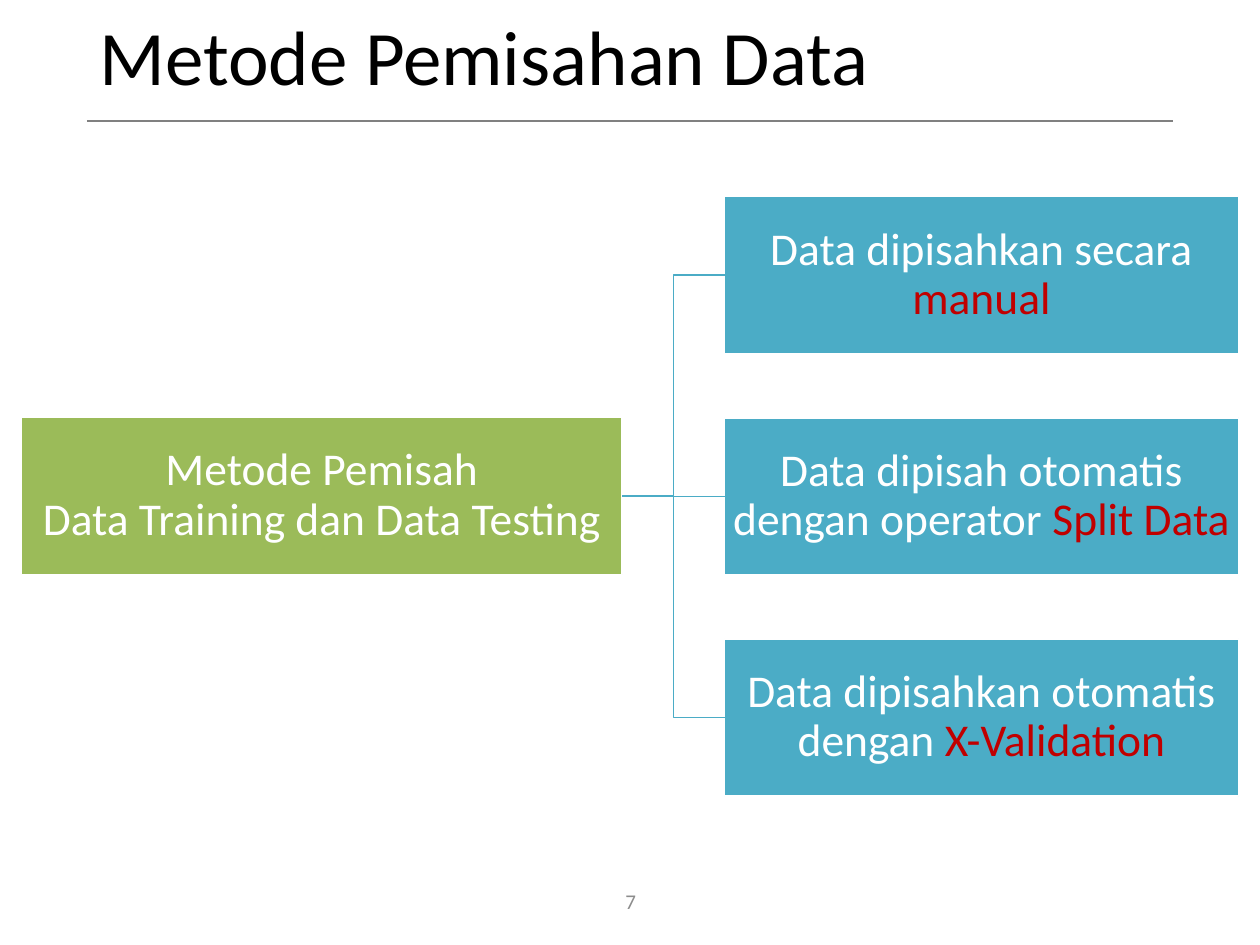
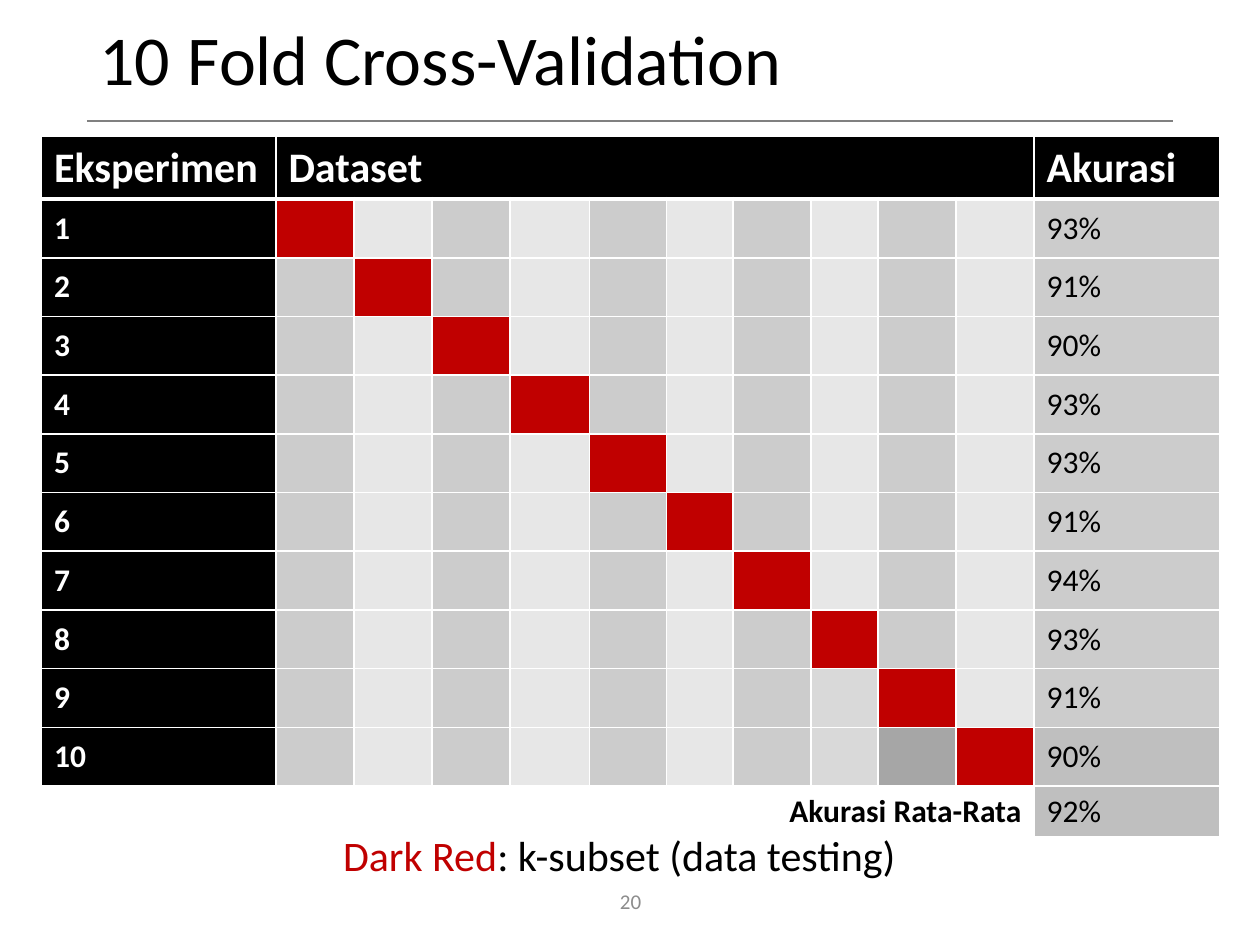
from lxml.etree import SubElement
from pptx import Presentation
from pptx.dml.color import RGBColor
from pptx.enum.shapes import MSO_CONNECTOR, MSO_SHAPE
from pptx.enum.text import MSO_ANCHOR, MSO_AUTO_SIZE, PP_ALIGN
from pptx.oxml.ns import qn
from pptx.util import Inches, Pt

FONT = "Calibri"
BLACK, WHITE, RED = "000000", "FFFFFF", "C00000"
GREEN, TEAL = "9BBB59", "4BACC6"
RULE_GRAY, NUMBER_GRAY = "808080", "8C8C8C"
DARK_BAND, LIGHT_BAND, TOTAL_GRAY = "CCCCCC", "E7E7E7", "BFBFBF"

# Texts are lists of (text, format changes) spans.
METHODS_TITLE = [("Metode Pemisahan Data", {})]
ROOT_METHOD = [("Metode Pemisah\nData Training dan Data Testing", {})]
METHODS = [
    [("Data dipisahkan secara ", {}), ("manual", {"color": RED})],
    [("Data dipisah otomatis dengan operator ", {}), ("Split Data", {"color": RED})],
    [("Data dipisahkan otomatis dengan ", {}), ("X-Validation", {"color": RED})],
]

FOLDS_TITLE = [("10", {"size": 40}), (" ", {}), ("Fold Cross-Validation", {"size": 40})]
ACCURACIES = ["93%", "91%", "90%", "93%", "93%", "91%", "94%", "93%", "91%", "90%"]
AVERAGE_LABEL, AVERAGE = "Akurasi Rata-Rata", "92%"
LEGEND = [("Dark Red", {"color": RED}), (": k-subset (data testing)", {})]
COLUMN_WIDTHS = [1.86, 0.62, 0.62, 0.62, 0.63, 0.61, 0.53, 0.62, 0.53, 0.62, 0.62, 1.47]
HEADER_HEIGHT, FOLD_HEIGHT, AVERAGE_HEIGHT = 0.5, 0.466, 0.4
# (fold, subset) cells whose gray departs from the column bands
SPECIAL_GRAYS = {(9, 8): "D9D9D9", (10, 8): "D9D9D9", (10, 9): "A6A6A6"}


def rgb(color):
    return RGBColor.from_string(color)


def write(frame, spans, size=18, color=BLACK, bold=False, align=PP_ALIGN.LEFT,
          anchor=MSO_ANCHOR.MIDDLE, spacing=None, before=0):
    """Fill the first paragraph of a text frame or table cell with spans."""
    frame.vertical_anchor = anchor
    para = getattr(frame, "text_frame", frame).paragraphs[0]
    para.alignment = align
    para.space_before = Pt(before)
    if spacing:
        para.line_spacing = spacing
    for text, changes in spans:
        for index, line in enumerate(text.split("\n")):
            if index:
                para.add_line_break()
            span = para.add_run()
            span.text = line
            span.font.name = FONT
            span.font.size = Pt(changes.get("size", size))
            span.font.bold = bold
            span.font.color.rgb = rgb(changes.get("color", color))


def add_text(page, left, top, width, height, spans, **text_format):
    box = page.shapes.add_textbox(*map(Inches, (left, top, width, height)))
    box.text_frame.word_wrap = True
    write(box.text_frame, spans, **text_format)


def add_line(page, kind, color, start=(0, 0), end=(0, 0)):
    line = page.shapes.add_connector(kind, *map(Inches, (*start, *end)))
    line.line.color.rgb = rgb(color)
    line.line.width = Pt(1)
    SubElement(line._element.spPr, qn("a:effectLst"))
    return line


def add_page(deck, title, number):
    page = deck.slides.add_slide(deck.slide_layouts[5])
    holder = page.shapes.title
    holder.left, holder.top = Inches(0.69), Inches(0.09)
    holder.width, holder.height = Inches(8.62), Inches(0.78)
    holder.text_frame.auto_size = MSO_AUTO_SIZE.NONE
    write(holder.text_frame, title, size=44, spacing=0.9)
    add_line(page, MSO_CONNECTOR.STRAIGHT, RULE_GRAY, (0.69, 0.96), (9.31, 0.96))
    add_text(page, 3.88, 6.95, 2.25, 0.4, [(str(number), {})],
             size=12, color=NUMBER_GRAY, align=PP_ALIGN.CENTER)
    return page


def add_method_box(page, left, top, width, fill, spans):
    box = page.shapes.add_shape(MSO_SHAPE.RECTANGLE,
                                *map(Inches, (left, top, width, 1.25)))
    box.shadow.inherit = False
    box.fill.solid()
    box.fill.fore_color.rgb = rgb(fill)
    box.line.color.rgb = rgb(WHITE)
    box.line.width = Pt(1)
    frame = box.text_frame
    frame.word_wrap = True
    frame.margin_left = frame.margin_right = Inches(0.02)
    frame.margin_top = frame.margin_bottom = Inches(0.02)
    write(frame, spans, size=26, color=WHITE, align=PP_ALIGN.CENTER, spacing=0.9)
    return box


def build_methods(deck):
    page = add_page(deck, METHODS_TITLE, 7)
    root = add_method_box(page, 0.17, 3.31, 4.77, GREEN, ROOT_METHOD)
    for index, method in enumerate(METHODS):
        box = add_method_box(page, 5.75, 1.56 + index * 1.755, 4.08, TEAL, method)
        branch = add_line(page, MSO_CONNECTOR.ELBOW, TEAL)
        branch.begin_connect(root, 3)
        branch.end_connect(box, 1)


def style_cell(cell, fill, top=1, bottom=1):
    """Give a cell white borders (widths in points) and a solid fill."""
    properties = cell._tc.get_or_add_tcPr()
    for side, width in (("L", 1), ("R", 1), ("T", top), ("B", bottom)):
        border = SubElement(properties, qn(f"a:ln{side}"), w=str(Pt(width)))
        SubElement(SubElement(border, qn("a:solidFill")), qn("a:srgbClr"), val=WHITE)
    cell.fill.solid()
    cell.fill.fore_color.rgb = rgb(fill)


def cell_fill(fold, column):
    """Header is fold 0; the average row follows the last fold."""
    last_fold, last_column = len(ACCURACIES), len(COLUMN_WIDTHS) - 1
    if fold > last_fold:
        return TOTAL_GRAY if column == last_column else WHITE
    if fold == 0 or column == 0:
        return BLACK
    if column == last_column:
        return TOTAL_GRAY if fold == last_fold else DARK_BAND
    if fold == column:
        return RED
    return SPECIAL_GRAYS.get((fold, column), DARK_BAND if column % 2 else LIGHT_BAND)


def build_folds(deck):
    page = add_page(deck, FOLDS_TITLE, 20)
    heights = [HEADER_HEIGHT] + [FOLD_HEIGHT] * len(ACCURACIES) + [AVERAGE_HEIGHT]
    last_row, last_column = len(heights) - 1, len(COLUMN_WIDTHS) - 1
    table = page.shapes.add_table(
        len(heights), len(COLUMN_WIDTHS), Inches(0.33), Inches(1.08),
        Inches(sum(COLUMN_WIDTHS)), Inches(sum(heights))).table
    for column, width in zip(table.columns, COLUMN_WIDTHS):
        column.width = Inches(width)
    for row, height in zip(table.rows, heights):
        row.height = Inches(height)
    for row in range(len(heights)):
        for column in range(len(COLUMN_WIDTHS)):
            style_cell(table.cell(row, column), cell_fill(row, column),
                       top=3 if row == 1 else 1, bottom=3 if row == 0 else 1)

    table.cell(0, 1).merge(table.cell(0, last_column - 1))
    table.cell(last_row, 0).merge(table.cell(last_row, last_column - 1))
    for column, heading in ((0, "Eksperimen"), (1, "Dataset"), (last_column, "Akurasi")):
        write(table.cell(0, column), [(heading, {})], size=24, color=WHITE, bold=True)
    for fold, accuracy in enumerate(ACCURACIES, start=1):
        write(table.cell(fold, 0), [(str(fold), {})], color=WHITE, bold=True)
        write(table.cell(fold, last_column), [(accuracy, {})])
    write(table.cell(last_row, 0), [(AVERAGE_LABEL, {})], bold=True, align=PP_ALIGN.RIGHT)
    write(table.cell(last_row, last_column), [(AVERAGE, {})])

    add_text(page, 1.5, 6.58, 6.83, 0.54, LEGEND, size=24, align=PP_ALIGN.CENTER,
             anchor=MSO_ANCHOR.TOP, spacing=0.9, before=10)


def main():
    deck = Presentation()
    deck.slide_width, deck.slide_height = Inches(10), Inches(7.5)
    build_methods(deck)
    build_folds(deck)
    deck.save("out.pptx")


if __name__ == "__main__":
    main()
